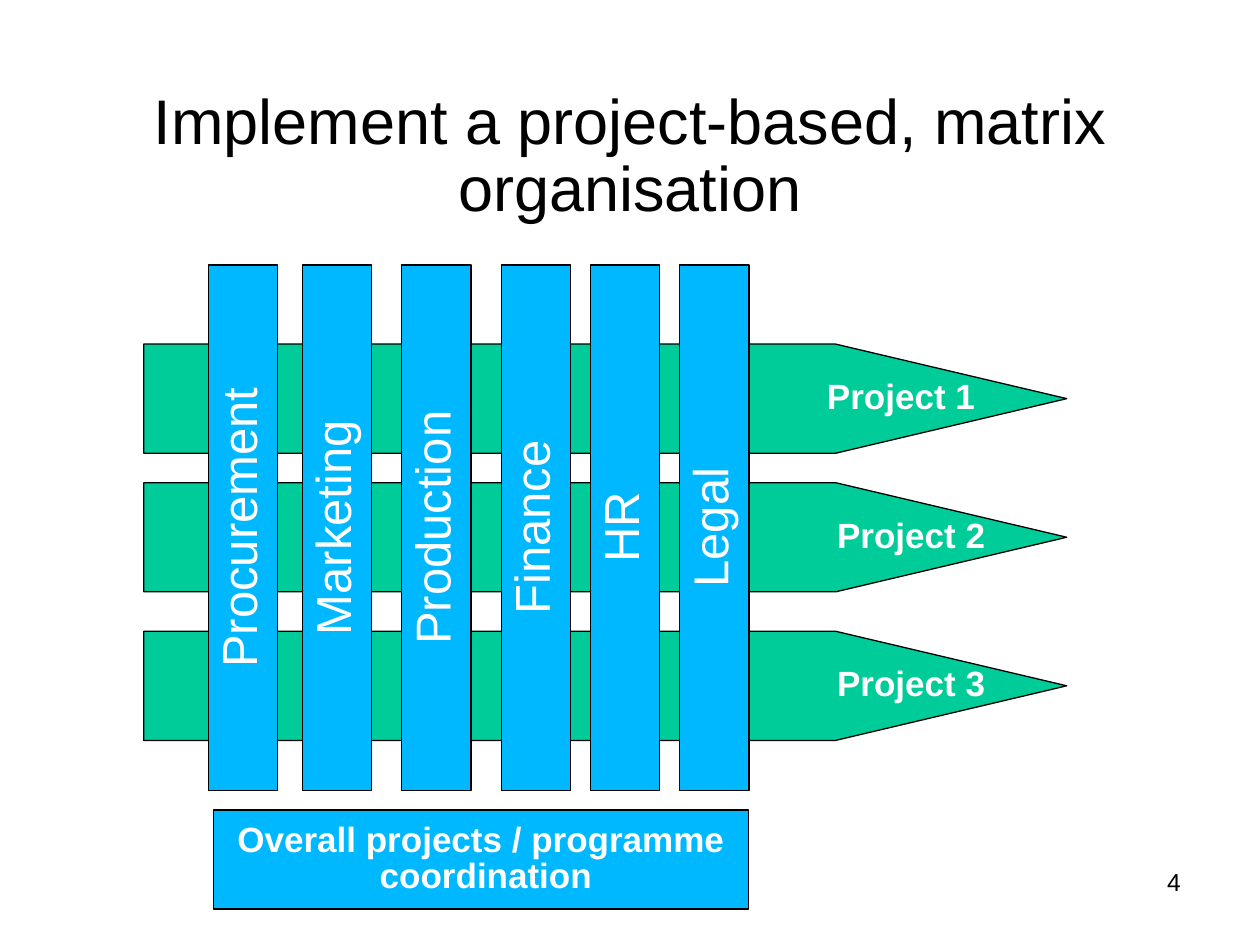
from dataclasses import dataclass

from pptx import Presentation
from pptx.dml.color import RGBColor
from pptx.enum.shapes import MSO_SHAPE
from pptx.enum.text import MSO_ANCHOR, PP_ALIGN
from pptx.util import Pt

COLORS = {"project": "00CC99", "function": "00B8FF", "line": "000000",
          "dark": "000000", "light": "FFFFFF"}
ARROW_LEFT, ARROW_SHOULDER, ARROW_TIP, ARROW_HEIGHT = 82.2, 477.5, 609.6, 62.4
COLUMN_TOP, COLUMN_HEIGHT, COLUMN_WIDTH = 151.4, 300.2, 39.6


@dataclass
class Project:
    name: str
    top: float
    inset: float


@dataclass
class Function:
    name: str
    center: float


PROJECTS = [
    Project("Project 3", 360.7, 46.6),
    Project("Project 2", 275.8, 46.6),
    Project("Project 1", 196.6, 52.4),
]
FUNCTIONS = [
    Function("Procurement", 138.9),
    Function("Marketing", 192.6),
    Function("Production", 249.4),
    Function("Finance", 306.2),
    Function("HR", 357.2),
    Function("Legal", 408.2),
]


def write(sp, text: str, *, size: float, color: str = "light", bold: bool = False,
          align=PP_ALIGN.CENTER, anchor=MSO_ANCHOR.MIDDLE, spacing: float = 1.0,
          insets: tuple = (0, 0, 0, 0)) -> None:
    tf = sp.text_frame
    tf.word_wrap = True
    tf.vertical_anchor = anchor
    tf.margin_left, tf.margin_top, tf.margin_right, tf.margin_bottom = map(Pt, insets)
    for i, line in enumerate(text.split("\n")):
        p = tf.paragraphs[0] if i == 0 else tf.add_paragraph()
        p.alignment = align
        p.line_spacing = spacing
        r = p.add_run()
        r.text = line
        r.font.name = "Arial"
        r.font.size = Pt(size)
        r.font.bold = bold
        r.font.color.rgb = RGBColor.from_string(COLORS[color])


def paint(sp, fill: str) -> None:
    sp.shadow.inherit = False
    sp.fill.solid()
    sp.fill.fore_color.rgb = RGBColor.from_string(COLORS[fill])
    sp.line.color.rgb = RGBColor.from_string(COLORS["line"])
    sp.line.width = Pt(0.74)


def add_project(s, project: Project) -> None:
    top, bottom = project.top, project.top + ARROW_HEIGHT
    outline = s.shapes.build_freeform(Pt(ARROW_LEFT), Pt(top))
    points = [(ARROW_SHOULDER, top), (ARROW_TIP, (top + bottom) / 2),
              (ARROW_SHOULDER, bottom), (ARROW_LEFT, bottom)]
    outline.add_line_segments([(Pt(x), Pt(y)) for x, y in points], close=True)
    sp = outline.convert_to_shape()
    paint(sp, "project")
    write(sp, project.name, size=20, bold=True, align=PP_ALIGN.RIGHT,
          spacing=0.87, insets=(0, 0, project.inset, 0))


def add_box(s, left: float, top: float, width: float, height: float):
    sp = s.shapes.add_shape(MSO_SHAPE.RECTANGLE, Pt(left), Pt(top), Pt(width), Pt(height))
    paint(sp, "function")
    return sp


def add_function(s, function: Function) -> None:
    middle = COLUMN_TOP + COLUMN_HEIGHT / 2
    sp = add_box(s, function.center - COLUMN_HEIGHT / 2, middle - COLUMN_WIDTH / 2,
                 COLUMN_HEIGHT, COLUMN_WIDTH)
    sp.rotation = 270
    write(sp, function.name, size=28, spacing=0.8)


prs = Presentation()
prs.slide_width, prs.slide_height = Pt(720), Pt(540)
s = prs.slides.add_slide(prs.slide_layouts[6])

for project in PROJECTS:
    add_project(s, project)

title = s.shapes.add_textbox(Pt(36), Pt(10), Pt(648), Pt(160.6))
write(title, "Implement a project-based, matrix organisation", size=36, color="dark",
      spacing=0.89, insets=(7.2, 3.6, 7.2, 3.6))

for function in FUNCTIONS:
    add_function(s, function)

coordination = add_box(s, 121.9, 462.8, 306, 56.6)
write(coordination, "Overall projects / programme\n coordination", size=20, bold=True,
      spacing=0.87)

number = s.shapes.add_textbox(Pt(516.2), Pt(491.8), Pt(165.6), Pt(35.3))
write(number, "4", size=14, color="dark", align=PP_ALIGN.RIGHT, anchor=MSO_ANCHOR.TOP,
      insets=(7.2, 3.6, 7.2, 3.6))

prs.save("out.pptx")
